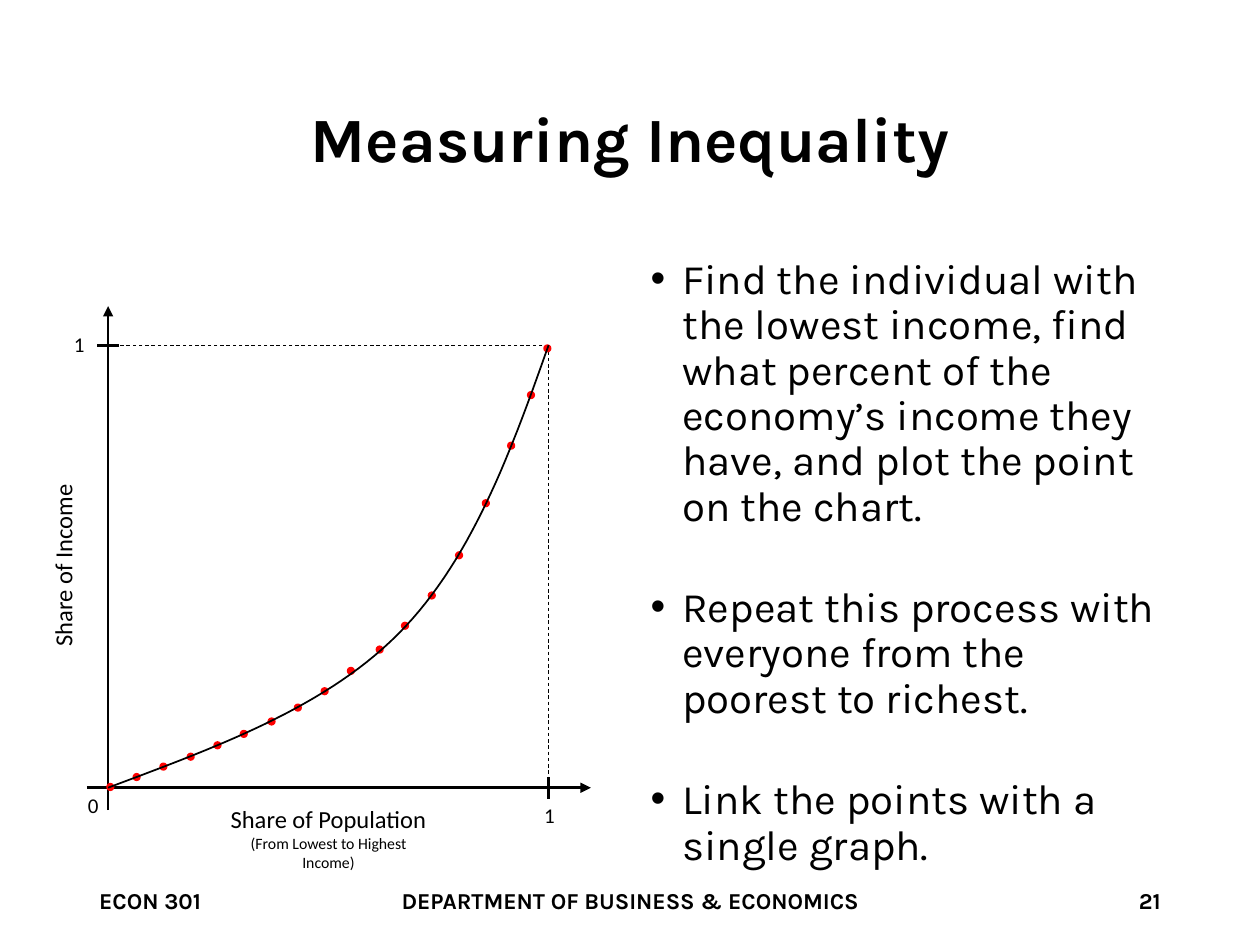
from dataclasses import dataclass

from lxml.etree import SubElement
from pptx import Presentation
from pptx.dml.color import RGBColor as Rgb
from pptx.enum.dml import MSO_LINE_DASH_STYLE as Dash
from pptx.enum.shapes import MSO_CONNECTOR as Link, MSO_SHAPE as Form
from pptx.enum.text import MSO_ANCHOR as Anchor, MSO_AUTO_SIZE as Fit, PP_ALIGN as Align
from pptx.oxml.ns import qn
from pptx.util import Cm, Pt


@dataclass(frozen=True)
class Theme:
    ink: Rgb = Rgb(0, 0, 0)
    dot: Rgb = Rgb(255, 0, 0)
    face: str = "Karla"
    plain: str = "Calibri"
    title: int = 36
    body: int = 24
    foot: int = 13
    axis: int = 14
    mark: int = 12
    note: int = 9


@dataclass(frozen=True)
class Box:
    left: float
    top: float
    width: float
    height: float


@dataclass(frozen=True)
class Label:
    box: Box
    lines: tuple
    sizes: tuple
    align: Align = Align.LEFT
    face: str = "Calibri"
    bold: bool = False
    turn: int = 0
    upright: bool = True
    foot: bool = False


@dataclass(frozen=True)
class Line:
    start: tuple
    end: tuple
    width: float = 1.5
    arrow: bool = False
    dashed: bool = False


T = Theme()


def place(shape, box: Box) -> None:
    shape.left, shape.top = Cm(box.left), Cm(box.top)
    shape.width, shape.height = Cm(box.width), Cm(box.height)


def style(para, face: str, size: int, bold: bool = False) -> None:
    for run in para.runs:
        font = run.font
        font.name, font.size, font.bold = face, Pt(size), bold
        font.color.rgb = T.ink


def add_label(slide, item: Label) -> None:
    shape = slide.shapes.add_textbox(0, 0, 0, 0)
    place(shape, item.box)
    shape.rotation = item.turn
    frame = shape.text_frame
    frame.word_wrap = True
    frame.text = "\n".join(item.lines)
    if item.foot:
        frame.vertical_anchor = Anchor.MIDDLE
    else:
        frame.auto_size = Fit.SHAPE_TO_FIT_TEXT
    if not item.upright:
        frame._txBody.bodyPr.set("vert", "vert270")
    for para, size in zip(frame.paragraphs, item.sizes):
        para.alignment = item.align
        style(para, item.face, size, item.bold)


def add_line(slide, item: Line) -> None:
    (x1, y1), (x2, y2) = item.start, item.end
    line = slide.shapes.add_connector(Link.STRAIGHT, Cm(x1), Cm(y1), Cm(x2), Cm(y2))
    line.line.color.rgb = T.ink
    line.line.width = Pt(item.width)
    if item.dashed:
        line.line.dash_style = Dash.DASH
    if item.arrow:
        SubElement(line.line._get_or_add_ln(), qn("a:tailEnd"), type="triangle")
    SubElement(line._element.spPr, qn("a:effectLst"))


def add_dot(slide, left: float, top: float) -> None:
    dot = slide.shapes.add_shape(Form.OVAL, Cm(left), Cm(top), Cm(0.13), Cm(0.13))
    dot.shadow.inherit = False
    dot.fill.solid()
    dot.fill.fore_color.rgb = dot.line.color.rgb = T.dot
    dot.line.width = Pt(1)


def bezier(ends: tuple, step: float) -> tuple:
    """Point on a cubic curve, in slide units."""
    rest = 1 - step
    parts = (rest ** 3, 3 * rest ** 2 * step, 3 * rest * step ** 2, step ** 3)
    return tuple(Cm(sum(p * e[axis] for p, e in zip(parts, ends))) for axis in (0, 1))


def add_curve(slide, spans: tuple, steps: int = 30) -> None:
    points = [bezier(span, i / steps) for span in spans for i in range(steps + 1)]
    path = slide.shapes.build_freeform(*points[0], scale=1.0)
    path.add_line_segments(points[1:], close=False)
    curve = path.convert_to_shape()
    curve.shadow.inherit = False
    curve.fill.background()
    curve.line.color.rgb = T.ink
    curve.line.width = Pt(1)


def fill_title(slide, text: str) -> None:
    title = slide.shapes.title
    place(title, Box(1.75, 1.02, 21.9, 3.68))
    frame = title.text_frame
    frame.text = text
    frame.vertical_anchor, frame.auto_size = Anchor.MIDDLE, Fit.NONE
    para = frame.paragraphs[0]
    para.alignment, para.line_spacing = Align.CENTER, 0.9
    style(para, T.face, T.title, True)


def fill_list(slide, items: tuple) -> None:
    body = slide.placeholders[1]
    place(body, Box(12.86, 5.08, 10.8, 12.09))
    frame = body.text_frame
    frame.text = "\n".join(items)
    frame.auto_size = Fit.NONE
    for i, para in enumerate(frame.paragraphs):
        props = para._p.get_or_add_pPr()
        props.set("marL", str(Cm(0.64)))
        props.set("indent", str(-Cm(0.64)))
        SubElement(props, qn("a:buFont"), typeface="Arial")
        SubElement(props, qn("a:buChar"), char="•")
        para.line_spacing = 0.9
        para.space_before = Pt(32 if i else 0)
        style(para, T.face, T.body)


# Chart frame: origin and the point where both shares equal one
X0, Y0, X1, Y1 = 2.18, 15.88, 11.06, 6.96
TICK = 0.22

LINES = (
    Line((X0, 16.33), (X0, 6.17), arrow=True),
    Line((1.75, Y0), (11.91, Y0), arrow=True),
    Line((X1, Y1), (X0, Y1), 0.5, dashed=True),
    Line((X1, Y1), (X1, Y0), 0.5, dashed=True),
    Line((X1, Y0 - TICK), (X1, Y0 + TICK)),
    Line((X0 - TICK, Y1), (X0 + TICK, Y1)),
)
DOTS = (
    (2.16, 15.8), (2.69, 15.6), (3.23, 15.39), (3.78, 15.19), (4.32, 14.96),
    (4.85, 14.73), (5.41, 14.48), (5.94, 14.2), (6.48, 13.87), (7.01, 13.46),
    (7.59, 13.03), (8.1, 12.55), (8.64, 11.94), (9.19, 11.13), (9.73, 10.08),
    (10.24, 8.92), (10.64, 7.9), (10.97, 6.96),
)
CURVE = (
    ((X0, Y0), (4.37, 15.06), (6.55, 14.27), (8.03, 12.78)),
    ((8.03, 12.78), (9.5, 11.3), (10.29, 9.14), (X1, Y1)),
)
FEET = (
    ("ECON 301", 1.75, 5.72, Align.LEFT),
    ("DEPARTMENT OF BUSINESS & ECONOMICS", 4.7, 16, Align.CENTER),
    ("21", 17.93, 5.72, Align.RIGHT),
)
MARKS = (("0", 1.52, 15.85), ("1", 1.24, 6.55), ("1", 10.72, 16.05))
NAMES = (
    Label(Box(0.84, 9.09, 1.12, 4.62), ("Share of Income",), (T.axis,),
          Align.CENTER, upright=False),
    Label(Box(5.87, 14.53, 1.5, 4.62),
          ("Share of Population", "(From Lowest to Highest Income)"),
          (T.axis, T.note), Align.CENTER, turn=90, upright=False),
)
STEPS = (
    "Find the individual with the lowest income, find what percent of the "
    "economy’s income they have, and plot the point on the chart.",
    "Repeat this process with everyone from the poorest to richest.",
    "Link the points with a single graph.",
)


def main() -> None:
    deck = Presentation()
    deck.slide_width, deck.slide_height = Cm(25.4), Cm(19.05)
    slide = deck.slides.add_slide(deck.slide_layouts[1])

    # Title and list
    fill_title(slide, "Measuring Inequality")
    fill_list(slide, STEPS)

    # Footer
    for text, left, width, align in FEET:
        add_label(slide, Label(Box(left, 17.65, width, 1.02), (text,), (T.foot,),
                               align, T.face, bold=True, foot=True))

    # Axes, labels, points and curve
    for line in LINES:
        add_line(slide, line)
    for name in NAMES:
        add_label(slide, name)
    for text, left, top in MARKS:
        add_label(slide, Label(Box(left, top, 0.79, 0.76), (text,), (T.mark,)))
    for left, top in DOTS:
        add_dot(slide, left, top)
    add_curve(slide, CURVE)

    deck.save("out.pptx")


if __name__ == "__main__":
    main()
